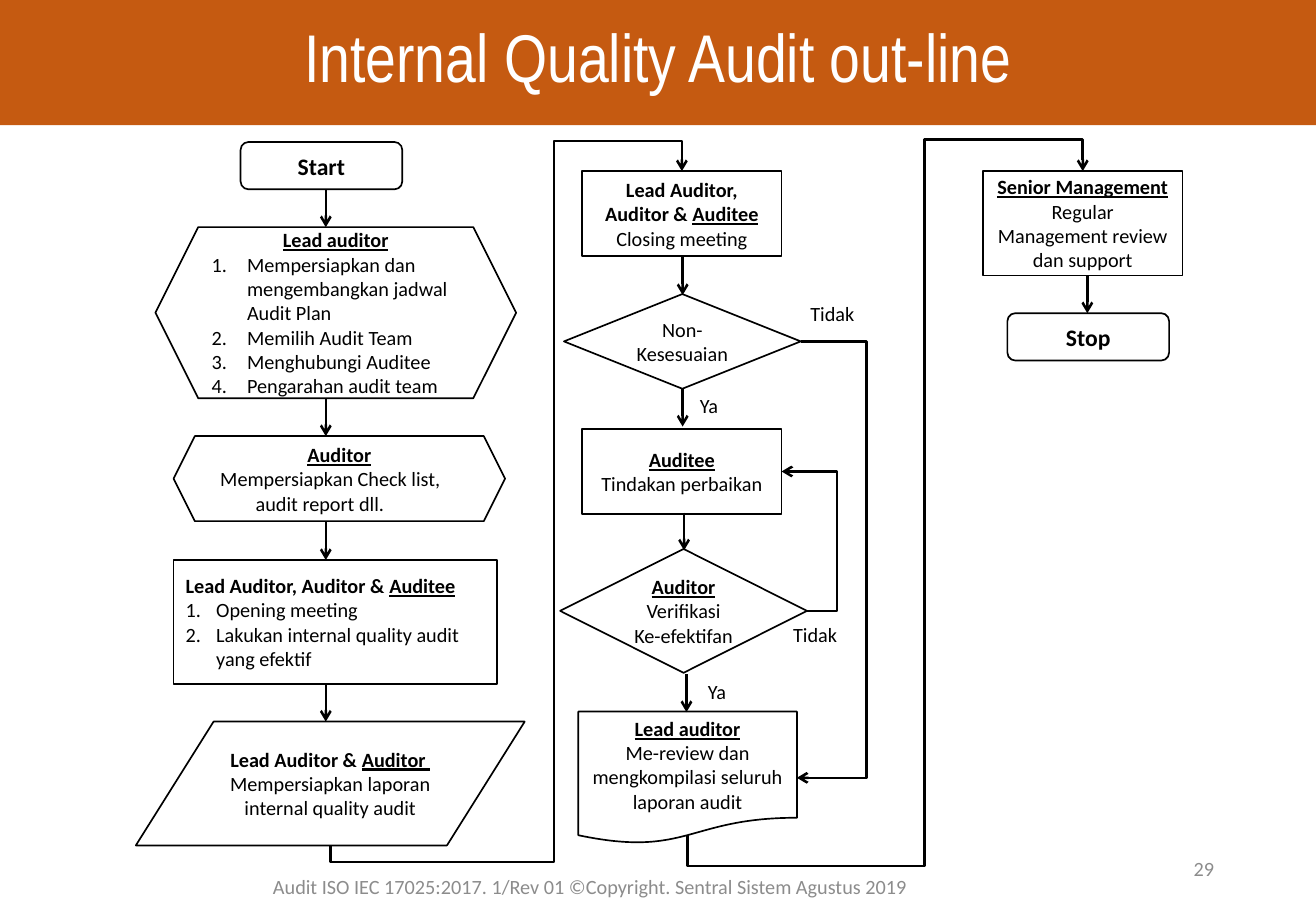
from lxml.etree import SubElement
from pptx import Presentation
from pptx.dml.color import RGBColor
from pptx.enum.shapes import MSO_CONNECTOR, MSO_SHAPE
from pptx.enum.text import MSO_ANCHOR, MSO_AUTO_SIZE, PP_ALIGN
from pptx.oxml.ns import qn
from pptx.util import Cm, Pt

COLORS = {"bar": "C55A11", "ink": "000000", "paper": "FFFFFF", "muted": "8C8C8C"}
ALIGN = {"l": PP_ALIGN.LEFT, "c": PP_ALIGN.CENTER, "r": PP_ALIGN.RIGHT}
ARROW_LENGTH = 0.79
TERMINAL = (3.38, 0.99)
STEP = (4.17, 1.78)
LABEL = (1.8, 0.76)


def rgb(name):
    return RGBColor.from_string(COLORS[name])


def apply(target, values):
    for name, value in values.items():
        setattr(target, name, value)


def para(*runs, align="c", indent=0, numbered=False):
    return {"runs": runs, "align": align, "indent": indent, "numbered": numbered}


def write(tf, paragraphs, size=12, color="ink", font="Calibri"):
    for i, item in enumerate(paragraphs):
        p = tf.add_paragraph() if i else tf.paragraphs[0]
        p.alignment = ALIGN[item["align"]]
        if item["indent"]:
            pPr = p._p.get_or_add_pPr()
            pPr.set("marL", str(Cm(item["indent"])))
            pPr.set("indent", str(-Cm(item["indent"])))
            if item["numbered"]:
                SubElement(pPr, qn("a:buAutoNum"), type="arabicPeriod")
        for text, flags in item["runs"]:
            r = p.add_run()
            r.text = text
            apply(r.font, {"name": font, "size": Pt(size),
                           "bold": "b" in flags, "underline": "u" in flags})
            r.font.color.rgb = rgb(color)


def node(s, box, kind, at, size, paragraphs, text_size=12):
    sp = s.shapes.add_shape(kind, Cm(box[0] + at[0]), Cm(box[1] + at[1]),
                            Cm(size[0]), Cm(size[1]))
    sp.shadow.inherit = False
    sp.fill.background()
    sp.line.color.rgb = rgb("ink")
    sp.line.width = Pt(1)
    apply(sp.text_frame, {"word_wrap": True, "vertical_anchor": MSO_ANCHOR.MIDDLE})
    write(sp.text_frame, paragraphs, text_size)
    return sp


def text_box(s, box, paragraphs, color="ink", anchor=MSO_ANCHOR.TOP):
    tf = s.shapes.add_textbox(*map(Cm, box)).text_frame
    apply(tf, {"word_wrap": True, "vertical_anchor": anchor})
    write(tf, paragraphs, color=color)


def arrow(s, kind, begin, end):
    c = s.shapes.add_connector(kind, *begin, *end)
    c.line.color.rgb = rgb("ink")
    c.line.width = Pt(1.5)
    SubElement(c.line._get_or_add_ln(), qn("a:tailEnd"), type="arrow")
    SubElement(c._element.spPr, qn("a:effectLst"))
    return c


def down_arrows(s, box, points):
    for dx, dy in points:
        x, y = box[0] + dx, box[1] + dy
        arrow(s, MSO_CONNECTOR.STRAIGHT, (Cm(x), Cm(y)), (Cm(x), Cm(y + ARROW_LENGTH)))


def glue(c, source, source_site, target, target_site):
    cNvCxnSpPr = c._element.nvCxnSpPr.cNvCxnSpPr
    for tag, sp, site in (("a:stCxn", source, source_site), ("a:endCxn", target, target_site)):
        SubElement(cNvCxnSpPr, qn(tag), id=str(sp.shape_id), idx=str(site))


def bend(c, kind, ratios):
    geom = c._element.spPr.find(qn("a:prstGeom"))
    geom.set("prst", kind)
    avLst = geom.find(qn("a:avLst"))
    for i, ratio in enumerate(ratios, 1):
        name = f"adj{i}" if len(ratios) > 1 else "adj1"
        SubElement(avLst, qn("a:gd"), name=name, fmla=f"val {round(ratio * 100000)}")


def side_loop(s, source, target, turn_x):
    begin = (source.left + source.width, source.top + source.height // 2)
    end = (target.left + target.width, target.top + target.height // 2)
    c = arrow(s, MSO_CONNECTOR.ELBOW, begin, end)
    glue(c, source, 3, target, 3)
    bend(c, "bentConnector3", [(Cm(turn_x) - begin[0]) / (end[0] - begin[0])])


def next_column(s, source, site, target, low_y, turn_x, high_y, bottom=1.0):
    begin = (source.left + source.width // 2, source.top + round(source.height * bottom))
    end = (target.left + target.width // 2, target.top)
    c = arrow(s, MSO_CONNECTOR.ELBOW, begin, end)
    glue(c, source, site, target, 0)
    dx, dy = end[0] - begin[0], end[1] - begin[1]
    bend(c, "bentConnector5", [(Cm(low_y) - begin[1]) / dy,
                               (Cm(turn_x) - begin[0]) / dx,
                               (Cm(high_y) - begin[1]) / dy])
    apply(c, {"left": (begin[0] + end[0] + dy) // 2, "top": (begin[1] + end[1] - dx) // 2,
              "width": -dy, "height": dx})
    xfrm = c._element.spPr.find(qn("a:xfrm"))
    for name, value in {"rot": "5400000", "flipH": "1", "flipV": "1"}.items():
        xfrm.set(name, value)


def title_bar(s, box):
    sp = s.shapes.title
    apply(sp, dict(zip(("left", "top", "width", "height"), map(Cm, box))))
    sp.fill.solid()
    sp.fill.fore_color.rgb = rgb("bar")
    apply(sp.text_frame, {"word_wrap": True, "auto_size": MSO_AUTO_SIZE.NONE,
                          "vertical_anchor": MSO_ANCHOR.MIDDLE})
    write(sp.text_frame, [para(("Internal Quality Audit out-line", ""))],
          40, "paper", "Arial Narrow")
    sp.text_frame.paragraphs[0].line_spacing = 0.8


def preparation_column(s, box):
    node(s, box, MSO_SHAPE.FLOWCHART_ALTERNATE_PROCESS, (2.19, 0), TERMINAL,
         [para(("Start", "b"))], 14)
    tasks = ["Mempersiapkan dan mengembangkan jadwal Audit Plan", "Memilih Audit Team",
             "Menghubungi Auditee", "Pengarahan audit team"]
    node(s, box, MSO_SHAPE.HEXAGON, (0.41, 1.78), (7.54, 3.58),
         [para(("Lead auditor", "bu"), indent=0.74)]
         + [para((t, ""), align="l", indent=0.74, numbered=True) for t in tasks])
    node(s, box, MSO_SHAPE.HEXAGON, (0.79, 6.15), (6.93, 1.78),
         [para(("Auditor", "bu"), indent=0.74),
          para(("Mempersiapkan Check list, audit report dll.", ""), align="l", indent=0.74)])
    meetings = ["Opening meeting", "Lakukan internal quality audit yang efektif"]
    node(s, box, MSO_SHAPE.RECTANGLE, (0.79, 8.74), (6.76, 2.59),
         [para(("Lead Auditor, Auditor & ", "b"), ("Auditee", "bu"), align="l")]
         + [para((t, ""), align="l", indent=0.64, numbered=True) for t in meetings])
    down_arrows(s, box, [(3.97, y) for y in (0.99, 5.36, 7.95, 11.33)])
    return node(s, box, MSO_SHAPE.FLOWCHART_DATA, (0, 12.12), (8.13, 2.59),
                [para(("Lead Auditor & ", "b"), ("Auditor ", "bu")),
                 para(("Mempersiapkan laporan internal quality audit", ""))])


def follow_up_column(s, box):
    closing = node(s, box, MSO_SHAPE.RECTANGLE, (0.46, 0), STEP,
                   [para(("Lead Auditor, Auditor & ", "b"), ("Auditee", "bu")),
                    para(("Closing meeting", ""))])
    finding = node(s, box, MSO_SHAPE.DIAMOND, (0.08, 2.57), (4.95, 1.98),
                   [para(("Non-Kesesuaian", ""))])
    action = node(s, box, MSO_SHAPE.RECTANGLE, (0.46, 5.39), STEP,
                  [para(("Auditee", "bu")), para(("Tindakan perbaikan", ""))])
    check = node(s, box, MSO_SHAPE.DIAMOND, (0, 7.9), (5.16, 2.59),
                 [para(("Auditor", "bu")), para(("Verifikasi Ke-efektifan", ""))])
    report = node(s, box, MSO_SHAPE.FLOWCHART_DOCUMENT, (0.38, 11.3), (4.57, 2.77),
                  [para(("Lead auditor", "bu")),
                   para(("Me-review dan mengkompilasi seluruh laporan audit", ""))])
    down_arrows(s, box, [(2.56, 1.8), (2.56, 4.55), (2.59, 7.14), (2.64, 10.52)])
    side_loop(s, check, action, box[0] + 5.79)
    side_loop(s, finding, report, box[0] + 6.4)
    for text, dx, dy in (("Ya", 2.67, 4.52), ("Tidak", 4.98, 2.59),
                         ("Ya", 2.84, 10.49), ("Tidak", 4.62, 9.3)):
        text_box(s, (box[0] + dx, box[1] + dy, *LABEL), [para((text, ""), align="l")])
    return closing, report


def management_column(s, box):
    review = node(s, box, MSO_SHAPE.RECTANGLE, (0, 0), (4.17, 2.18),
                  [para(("Senior Management", "bu")), para(("Regular", "")),
                   para(("Management review dan support", ""))])
    node(s, box, MSO_SHAPE.FLOWCHART_ALTERNATE_PROCESS, (0.51, 2.97), TERMINAL,
         [para(("Stop", "b"))], 14)
    down_arrows(s, box, [(2.18, 2.18)])
    return review


def footer(s, box):
    x, y, w, h = box
    text_box(s, (x, y + 0.38, 17.42, h - 0.38),
             [para(("Audit ISO IEC 17025:2017. 1/Rev 01 ©Copyright. "
                    "Sentral Sistem Agustus 2019", ""))], "muted", MSO_ANCHOR.MIDDLE)
    text_box(s, (x + w - 6.2, y, 6.2, h - 0.38), [para(("29", ""), align="r")],
             "muted", MSO_ANCHOR.MIDDLE)


def main():
    prs = Presentation()
    apply(prs, {"slide_width": Cm(27.51), "slide_height": Cm(19.05)})
    s = prs.slides.add_slide(prs.slide_layouts[5])
    title_bar(s, (0, 0, 27.51, 2.62))
    draft = preparation_column(s, (2.84, 2.97))
    closing, report = follow_up_column(s, (11.71, 3.58))
    review = management_column(s, (20.55, 3.58))
    next_column(s, draft, 4, closing, 18.03, 11.58, 2.95)
    next_column(s, report, 2, review, 18.11, 19.33, 2.92, 0.93)
    footer(s, (3.63, 17.65, 22, 1.4))
    prs.save("out.pptx")


if __name__ == "__main__":
    main()
